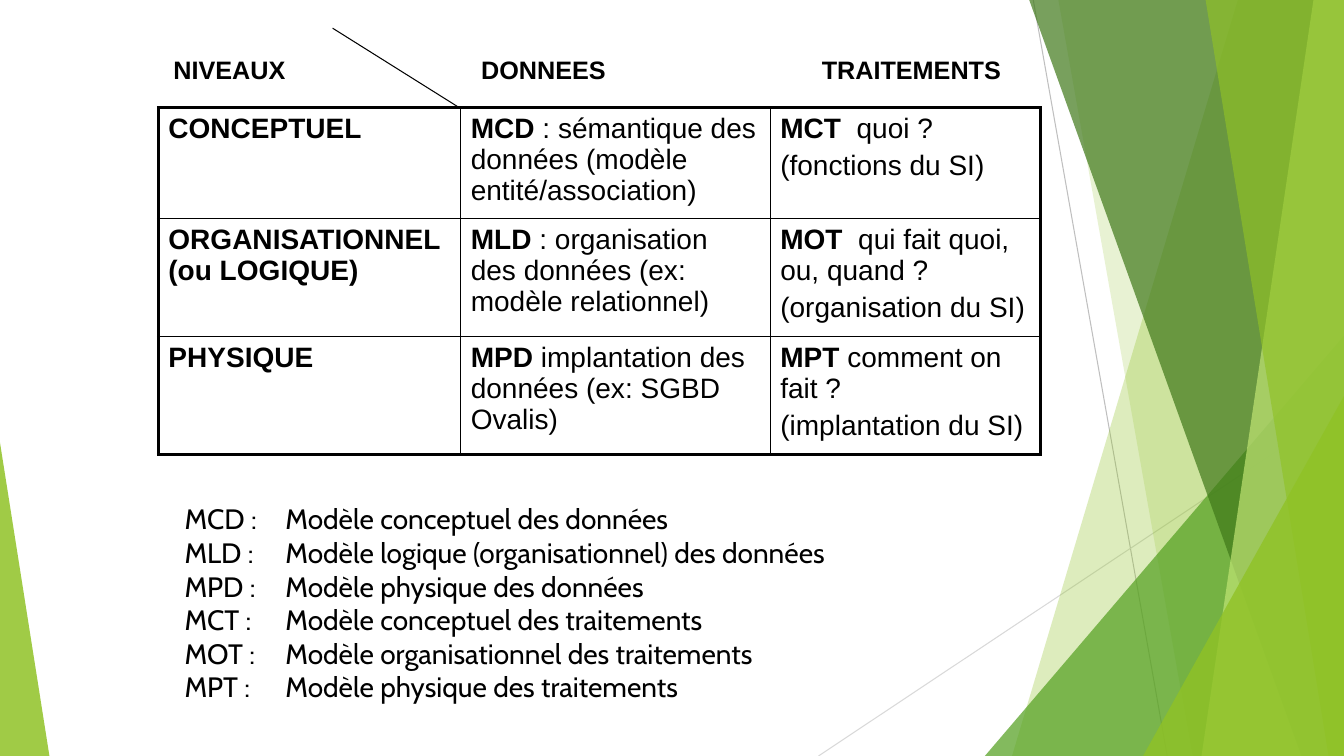
from lxml import etree
from pptx import Presentation
from pptx.dml.color import RGBColor
from pptx.enum.shapes import MSO_CONNECTOR, MSO_SHAPE
from pptx.oxml.ns import qn
from pptx.util import Inches, Pt

STRAIGHT = MSO_CONNECTOR.STRAIGHT
TRIANGLE = MSO_SHAPE.ISOSCELES_TRIANGLE
BLANK_LAYOUT = 6
BLACK, GREEN = "000000", "90C226"
THIN, THICK = 1, 2.25


def colour(hex_text):
    return RGBColor.from_string(hex_text)


class Deck:
    """Holds the style and current slide; lengths are percent of the slide."""

    def __init__(self):
        self.deck = Presentation()
        self.deck.slide_width = Inches(13.33)
        self.deck.slide_height = Inches(7.5)
        self.slide = self.deck.slides.add_slide(
            self.deck.slide_layouts[BLANK_LAYOUT])
        self.shapes = self.slide.shapes

    def x(self, share):
        return round(self.deck.slide_width * share / 100)

    def y(self, share):
        return round(self.deck.slide_height * share / 100)

    def box(self, left, top, width, height):
        return self.x(left), self.y(top), self.x(width), self.y(height)

    def line(self, x1, y1, x2, y2, hue):
        rule = self.shapes.add_connector(
            STRAIGHT, self.x(x1), self.y(y1), self.x(x2), self.y(y2))
        rule.line.color.rgb = colour(hue)
        rule.line.width = Pt(0.75)
        etree.SubElement(rule._element.spPr, qn("a:effectLst"))

    def tint(self, shape, hue, opacity):
        shape.shadow.inherit = False
        shape.line.fill.background()
        shape.fill.solid()
        shape.fill.fore_color.rgb = colour(hue)
        srgb = shape._element.spPr.find(".//" + qn("a:srgbClr"))
        etree.SubElement(srgb, qn("a:alpha"), val=str(opacity * 1000))

    def band(self, top_x, bottom_x, hue, opacity):
        """Slanted edge, filled out to the right side of the slide."""
        outline = self.shapes.build_freeform(self.x(top_x), 0)
        outline.add_line_segments(
            [(self.x(100), 0), (self.x(100), self.y(100)),
             (self.x(bottom_x), self.y(100))], close=True)
        self.tint(outline.convert_to_shape(), hue, opacity)

    def wedge(self, left, top, width, apex, hue, opacity):
        """Triangle standing on the bottom of the slide."""
        shape = self.shapes.add_shape(
            TRIANGLE, *self.box(left, top, width, 100 - top))
        shape.adjustments[0] = apex
        self.tint(shape, hue, opacity)

    def run(self, paragraph, text, size, font, bold=False):
        run = paragraph.add_run()
        run.text = text
        run.font.size, run.font.name, run.font.bold = Pt(size), font, bold
        run.font.color.rgb = colour(BLACK)

    def tabbed(self, area, indent, stops, rows, **style):
        """Text box whose rows are aligned on tab stops."""
        frame = self.shapes.add_textbox(*self.box(*area)).text_frame
        frame.word_wrap = True
        frame.margin_left = self.x(indent)
        for i, row in enumerate(rows):
            paragraph = frame.add_paragraph() if i else frame.paragraphs[0]
            self.run(paragraph, "\t".join(row), **style)
            tabs = etree.SubElement(
                paragraph._p.get_or_add_pPr(), qn("a:tabLst"))
            for stop in stops:
                etree.SubElement(tabs, qn("a:tab"),
                                 pos=str(self.x(stop)), algn="l")

    def borders(self, cell, widths):
        tc_pr = cell._tc.get_or_add_tcPr()
        for i, (side, width) in enumerate(zip("LRTB", widths)):
            edge = etree.Element(qn("a:ln" + side), w=str(Pt(width)))
            fill = etree.SubElement(edge, qn("a:solidFill"))
            etree.SubElement(fill, qn("a:srgbClr"), val=BLACK)
            tc_pr.insert(i, edge)

    def table(self, left, top, widths, heights, rows):
        """Each cell is a list of (bold text, plain text) paragraphs."""
        grid = self.shapes.add_table(
            len(heights), len(widths),
            *self.box(left, top, sum(widths), sum(heights))).table
        grid.first_row = grid.horz_banding = False
        for column, width in zip(grid.columns, widths):
            column.width = self.x(width)
        last_row, last_col = len(heights) - 1, len(widths) - 1
        for r, row in enumerate(rows):
            grid.rows[r].height = self.y(heights[r])
            for c, content in enumerate(row):
                cell = grid.cell(r, c)
                cell.fill.background()
                outer = (c == 0, c == last_col, r == 0, r == last_row)
                self.borders(cell, [THICK if o else THIN for o in outer])
                self.fill_cell(cell.text_frame, content)

    def fill_cell(self, frame, content):
        for i, (strong, plain) in enumerate(content):
            paragraph = frame.add_paragraph() if i else frame.paragraphs[0]
            paragraph.space_before = Pt(4)
            for text, bold in ((strong, True), (plain, False)):
                if text:
                    self.run(paragraph, text, 20, "Arial", bold)


page = Deck()

# Green backdrop
page.line(76.88, 0, 86.85, 100, "BFBFBF")
page.line(100, 53.73, 60.9, 100, "D9D9D9")
page.band(92.1, 75.3, GREEN, 30)
page.band(78.75, 88.73, GREEN, 20)
page.wedge(73.28, 44.4, 26.72, 1, "54A021", 72)
page.band(76.58, 96.83, "3F7819", 70)
page.band(97.73, 89.4, "C0E474", 70)
page.band(89.7, 98.85, GREEN, 65)
page.wedge(85.05, 52.4, 14.95, 1, GREEN, 80)
page.wedge(0, 58.53, 3.68, 0, GREEN, 85)

# Levels by data and processing
levels = [
    [[("CONCEPTUEL", "")],
     [("MCD ", ": sémantique des données (modèle entité/association)")],
     [("MCT  ", "quoi ?"), ("", "(fonctions du SI)")]],
    [[("ORGANISATIONNEL (ou LOGIQUE)", "")],
     [("MLD ", ": organisation des données (ex: modèle relationnel)")],
     [("MOT  ", "qui fait quoi, ou, quand ?"), ("", "(organisation du SI)")]],
    [[("PHYSIQUE", "")],
     [("MPD ", "implantation des données (ex: SGBD Ovalis)")],
     [("MPT ", "comment on fait ?"), ("", "(implantation du SI)")]],
]
page.table(11.78, 14.27, [22.5, 23.03, 20.1], [14.67, 15.6, 15.6], levels)

# Glossary of the models
glossary = [
    ("MCD :", "Modèle conceptuel des données"),
    ("MLD :", "Modèle logique (organisationnel) des données"),
    ("MPD :", "Modèle physique des données"),
    ("MCT :", "Modèle conceptuel des traitements"),
    ("MOT :", "Modèle organisationnel des traitements"),
    ("MPT :", "Modèle physique des traitements"),
]
page.tabbed((9.23, 65.73, 68.1, 28), 4.5, [7.5], glossary,
            size=20, font="Cabin")

# Column headings and the slanted divider
page.tabbed((11.1, 6.53, 65.63, 5.33), 1.8, [22.9, 48.25],
            [("NIVEAUX", "DONNEES", "TRAITEMENTS")],
            size=18, font="Arial", bold=True)
page.line(24.75, 3.73, 34.2, 14.27, BLACK)

page.deck.save("out.pptx")
